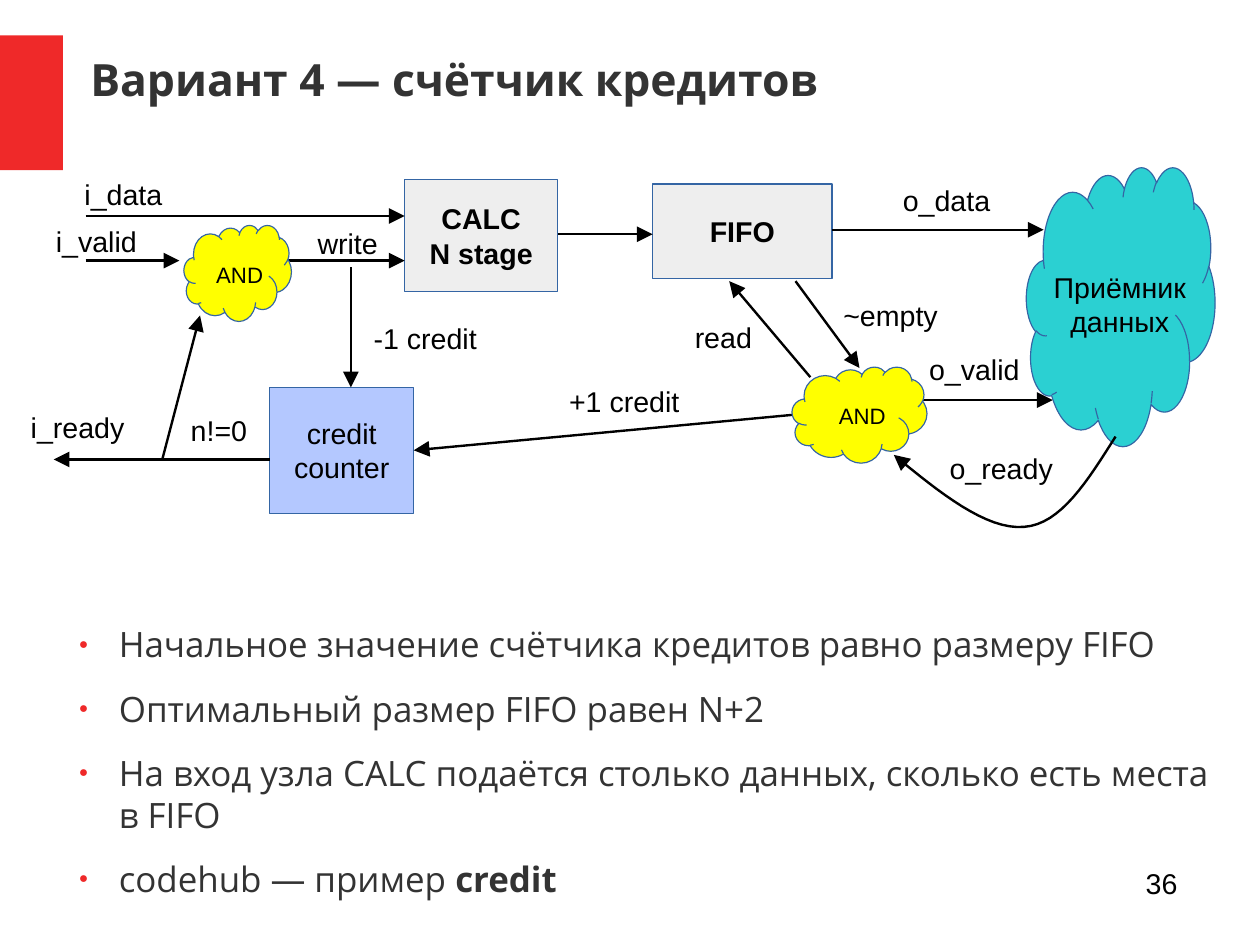
from dataclasses import dataclass

from lxml import etree
from pptx import Presentation
from pptx.dml.color import RGBColor
from pptx.enum.shapes import MSO_CONNECTOR, MSO_SHAPE
from pptx.enum.text import MSO_ANCHOR, MSO_AUTO_SIZE, PP_ALIGN
from pptx.oxml.ns import qn
from pptx.util import Inches, Pt

RECTANGLE, CLOUD = MSO_SHAPE.RECTANGLE, MSO_SHAPE.CLOUD
STRAIGHT = MSO_CONNECTOR.STRAIGHT
LEFT, CENTER, RIGHT = PP_ALIGN.LEFT, PP_ALIGN.CENTER, PP_ALIGN.RIGHT
TOP, MIDDLE = MSO_ANCHOR.TOP, MSO_ANCHOR.MIDDLE
NO_AUTOFIT = MSO_AUTO_SIZE.NONE
CM_PER_INCH = 2.54


@dataclass(frozen=True)
class Theme:
    heading_font: str = "Open Sans"
    diagram_font: str = "Arial"
    accent: str = "EF2929"
    heading: str = "333333"
    ink: str = "000000"
    outline: str = "3465A4"
    block: str = "EEEEEE"
    counter: str = "B4C8FF"
    gate: str = "FFFF00"
    receiver: str = "2BD0D2"
    title_size: int = 28
    body_size: int = 22
    label_size: int = 18
    gate_size: int = 14


class DiagramSlide:
    def __init__(self, slide, theme):
        self.slide, self.theme = slide, theme

    def set_font(self, paragraph, name, size, color, bold=False):
        font = paragraph.font
        font.name, font.size, font.bold = name, Pt(size), bold
        font.color.rgb = RGBColor.from_string(color)

    def place(self, placeholder, left, top, width, height, anchor):
        placeholder.left, placeholder.top = Inches(left), Inches(top)
        placeholder.width, placeholder.height = Inches(width), Inches(height)
        frame = placeholder.text_frame
        frame.margin_left = frame.margin_right = 0
        frame.margin_top = frame.margin_bottom = 0
        frame.vertical_anchor, frame.auto_size = anchor, NO_AUTOFIT
        return frame

    def title(self, text, *box):
        frame = self.place(self.slide.shapes.title, *box, MIDDLE)
        frame.text = text
        paragraph = frame.paragraphs[0]
        paragraph.alignment = LEFT
        self.set_font(paragraph, self.theme.heading_font, self.theme.title_size,
                      self.theme.heading, True)

    def bullets(self, items, *box):
        """Each item is a (plain text, bold ending) pair."""
        frame = self.place(self.slide.placeholders[1], *box, TOP)
        for index, (text, bold_text) in enumerate(items):
            paragraph = frame.add_paragraph() if index else frame.paragraphs[0]
            paragraph.add_run().text = text
            if bold_text:
                run = paragraph.add_run()
                run.text, run.font.bold = bold_text, True
            paragraph.line_spacing = 1.0
            paragraph.space_before, paragraph.space_after = Pt(0), Pt(14.1)
            self.add_bullet(paragraph)
            self.set_font(paragraph, self.theme.heading_font,
                          self.theme.body_size, self.theme.heading)

    def add_bullet(self, paragraph):
        properties = paragraph._p.get_or_add_pPr()
        properties.set("marL", str(Inches(0.47)))
        properties.set("indent", str(Inches(-0.35)))
        color = etree.SubElement(properties, qn("a:buClr"))
        etree.SubElement(color, qn("a:srgbClr"), val=self.theme.accent)
        etree.SubElement(properties, qn("a:buSzPct"), val="45000")
        etree.SubElement(properties, qn("a:buChar"), char="●")

    def block(self, kind, text, fill, left, top, width, height,
              size=None, bold=False, outlined=True):
        shape = self.slide.shapes.add_shape(
            kind, Inches(left), Inches(top), Inches(width), Inches(height))
        shape.shadow.inherit = False
        shape.fill.solid()
        shape.fill.fore_color.rgb = RGBColor.from_string(fill)
        if outlined:
            shape.line.color.rgb = RGBColor.from_string(self.theme.outline)
            shape.line.width = Pt(0.75)
        else:
            shape.line.fill.background()
        if text:
            frame = shape.text_frame
            frame.text, frame.word_wrap = text, False
            frame.vertical_anchor = MIDDLE
            if kind == CLOUD:
                frame.margin_left, frame.margin_top = Inches(0.2), Inches(0.12)
            for paragraph in frame.paragraphs:
                paragraph.alignment = CENTER
                self.set_font(paragraph, self.theme.diagram_font,
                              size or self.theme.label_size, self.theme.ink, bold)

    def label(self, text, left, top, width, size=None, alignment=LEFT):
        box = self.slide.shapes.add_textbox(
            Inches(left), Inches(top), Inches(width), Inches(0.38))
        frame = box.text_frame
        frame.word_wrap, frame.text = True, text
        paragraph = frame.paragraphs[0]
        paragraph.alignment = alignment
        self.set_font(paragraph, self.theme.diagram_font,
                      size or self.theme.label_size, self.theme.ink)

    def style_arrow(self, line):
        line.color.rgb = RGBColor.from_string(self.theme.ink)
        line.width = Pt(1.5)
        etree.SubElement(line._get_or_add_ln(), qn("a:tailEnd"),
                         type="triangle", w="lg", len="lg")

    def arrow(self, *ends):
        connector = self.slide.shapes.add_connector(STRAIGHT, *map(Inches, ends))
        self.style_arrow(connector.line)
        etree.SubElement(connector._element.spPr, qn("a:effectLst"))

    def curved_arrow(self, start, *segments, steps=16):
        """Each segment holds two control points and an end point."""
        points = [start]
        for first, second, end in segments:
            corners = (points[-1], first, second, end)
            for step in range(1, steps + 1):
                t = step / steps
                weights = ((1 - t) ** 3, 3 * t * (1 - t) ** 2,
                           3 * t ** 2 * (1 - t), t ** 3)
                points.append(tuple(
                    sum(weight * corner[axis] for weight, corner in zip(weights, corners))
                    for axis in (0, 1)))
        points = [(Inches(x), Inches(y)) for x, y in points]
        builder = self.slide.shapes.build_freeform(*points[0])
        builder.add_line_segments(points[1:], close=False)
        shape = builder.convert_to_shape()
        shape.shadow.inherit = False
        shape.fill.background()
        self.style_arrow(shape.line)


presentation = Presentation()
presentation.slide_width = Inches(28 / CM_PER_INCH)
presentation.slide_height = Inches(21 / CM_PER_INCH)
theme = Theme()
slide = presentation.slides.add_slide(presentation.slide_layouts[1])
diagram = DiagramSlide(slide, theme)

# Heading and conclusions
diagram.block(RECTANGLE, "", theme.accent, 0, 0.31, 0.55, 1.18, outlined=False)
diagram.title("Вариант 4 — счётчик кредитов", 0.79, 0.34, 9.68, 0.69)
diagram.bullets([
    ("Начальное значение счётчика кредитов равно размеру FIFO", ""),
    ("Оптимальный размер FIFO равен N+2", ""),
    ("На вход узла CALC подаётся столько данных, сколько есть места в FIFO", ""),
    ("codehub — пример ", "credit"),
], 0.57, 5.45, 10.08, 2.13)

# Pipeline blocks and the receiver
diagram.block(RECTANGLE, "CALC\nN stage", theme.block, 3.54, 1.57, 1.34, 0.98, bold=True)
diagram.block(RECTANGLE, "FIFO", theme.block, 5.71, 1.61, 1.57, 0.83, bold=True)
diagram.block(RECTANGLE, "credit\ncounter", theme.counter, 2.36, 3.39, 1.26, 1.1)
diagram.block(CLOUD, "Приёмник\nданных", theme.receiver, 8.98, 1.46, 1.65, 2.44)

# Signal arrows
for ends in [
    (0.75, 1.89, 3.54, 1.89),  # i_data
    (0.75, 2.28, 1.57, 2.28),  # i_valid
    (2.48, 2.28, 3.54, 2.28),  # write
    (4.88, 2.05, 5.71, 2.05),  # CALC to FIFO
    (7.28, 2.01, 9.13, 2.01),  # o_data
    (7.8, 3.5, 9.21, 3.5),     # o_valid
    (6.96, 2.46, 7.52, 3.22),  # ~empty
    (7.09, 3.3, 6.38, 2.46),   # read
    (6.93, 3.63, 3.62, 3.94),  # +1 credit
    (3.07, 2.34, 3.07, 3.39),  # -1 credit
    (2.36, 4.02, 0.47, 4.02),  # i_ready
    (1.42, 4.02, 1.75, 2.76),  # n!=0
]:
    diagram.arrow(*ends)
diagram.curved_arrow(
    (9.76, 3.82),
    ((9.52, 4.2), (9.28, 4.59), (8.96, 4.61)),
    ((8.63, 4.64), (8.22, 4.31), (7.82, 3.98)))

# Gates cover the arrow starts
diagram.block(CLOUD, "AND", theme.gate, 1.61, 1.97, 0.94, 0.84, size=theme.gate_size)
diagram.block(CLOUD, "", theme.gate, 6.93, 3.21, 1.18, 0.84)
diagram.label("AND", 7.24, 3.47, 0.71, size=theme.gate_size)

# Signal names
for name, left, top, width in [
    ("i_data", 0.64, 1.5, 1.01), ("i_valid", 0.39, 1.91, 1.01),
    ("write", 2.68, 1.93, 0.87), ("o_data", 7.8, 1.55, 1.02),
    ("~empty", 7.28, 2.56, 1.1), ("read", 5.98, 2.75, 0.85),
    ("o_valid", 8.03, 3.03, 1.34), ("o_ready", 8.21, 3.9, 1.33),
    ("+1 credit", 4.88, 3.31, 1.25), ("-1 credit", 3.17, 2.76, 1.48),
    ("i_ready", 0.17, 3.54, 1.25), ("n!=0", 1.57, 3.56, 0.75),
]:
    diagram.label(name, left, top, width)

# Page number
diagram.label("36", 7.9, 7.53, 2.5, alignment=RIGHT)

presentation.save("out.pptx")
